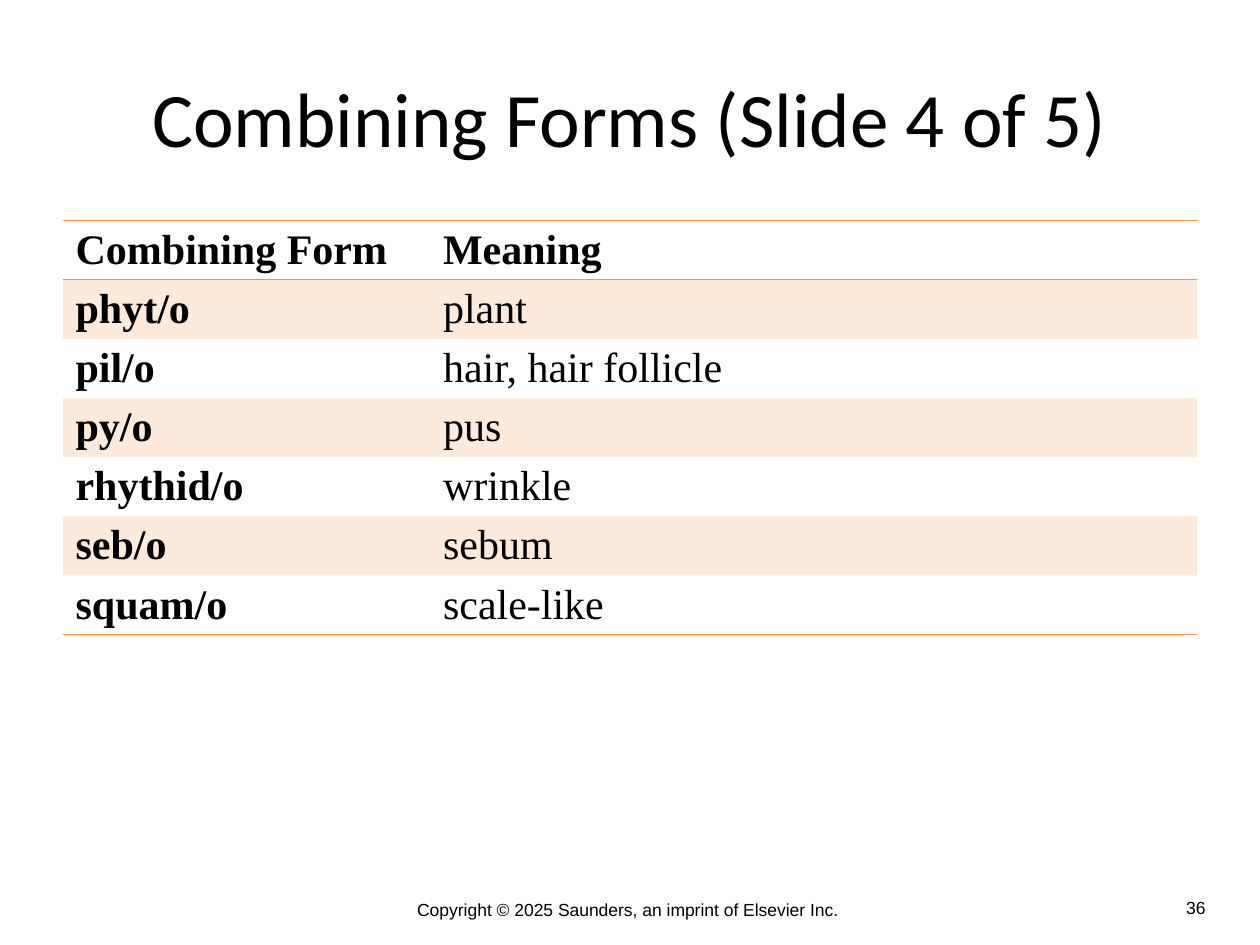
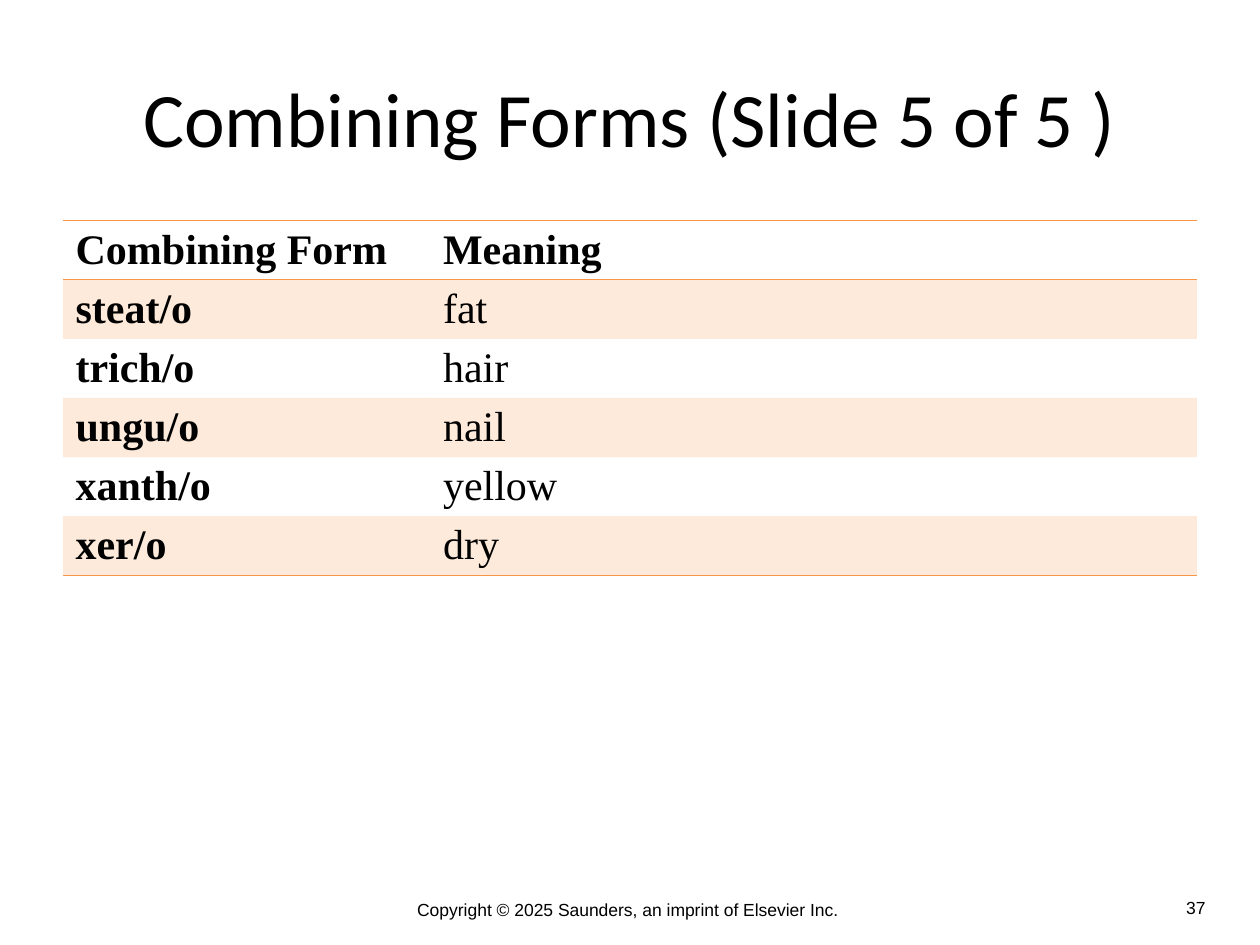
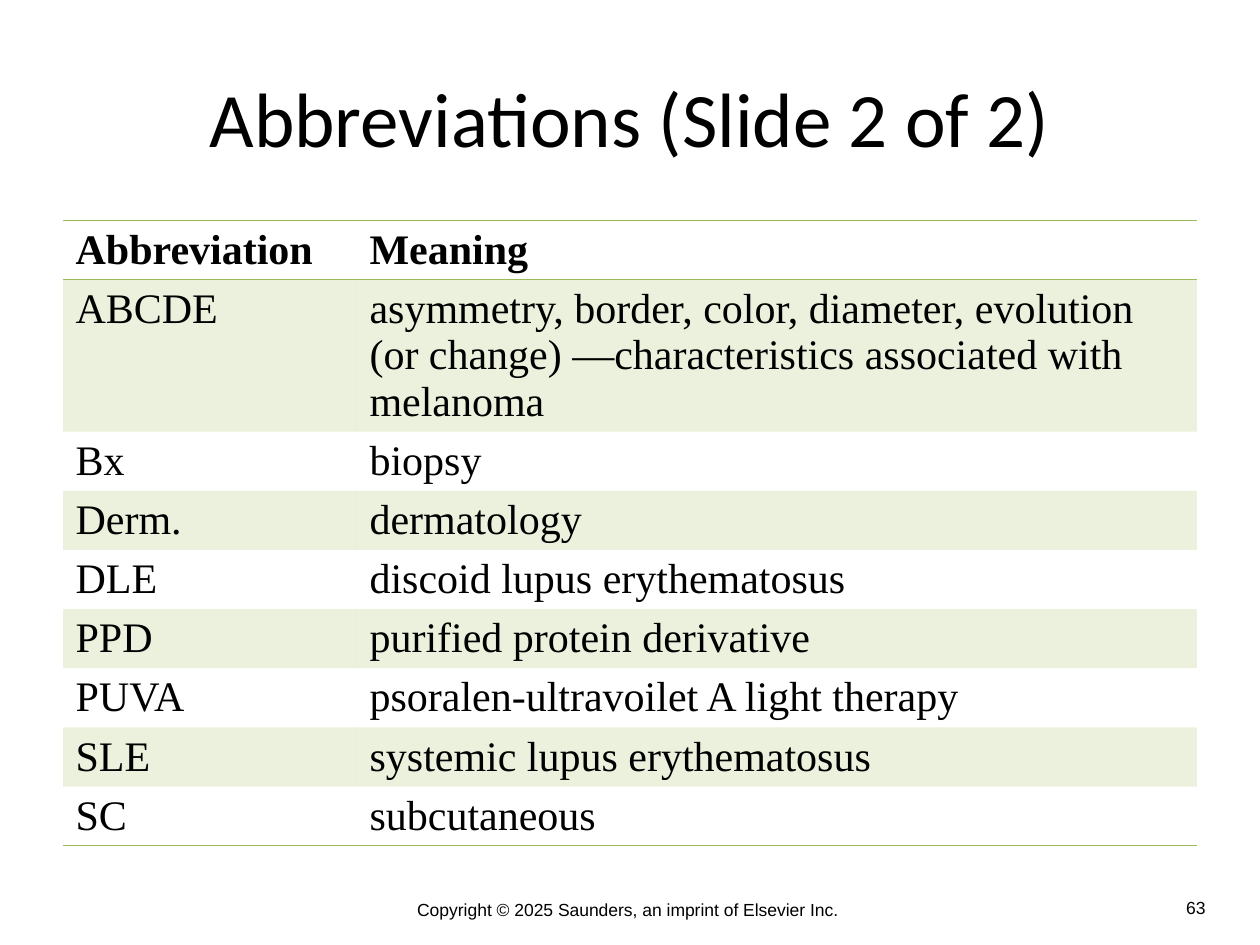
from pptx import Presentation
from pptx.dml.color import RGBColor
from pptx.enum.text import MSO_ANCHOR, PP_ALIGN
from pptx.oxml import parse_xml
from pptx.oxml.ns import nsdecls, qn
from pptx.util import Pt

# Shared look
BLACK = RGBColor(0x00, 0x00, 0x00)
ORANGE = RGBColor(0xF7, 0x96, 0x46)
GREEN = RGBColor(0x9B, 0xBB, 0x59)
NO_STYLE = "{2D5ABB26-0587-4C30-8999-92F81FD0307C}"
COPYRIGHT = "Copyright © 2025 Saunders, an imprint of Elsevier Inc. "
TABLE_WIDTH = 648
LINE_HEIGHT = 26.55
ROW_HEIGHT = LINE_HEIGHT + 7.2

# Each slide: title, page number, accent, first column width, bold terms, rows
SLIDES = [
    ("Combining Forms (Slide 4 of 5)", 36, ORANGE, 210, True, [
        ("Combining Form", "Meaning"),
        ("phyt/o", "plant"),
        ("pil/o", "hair, hair follicle"),
        ("py/o", "pus"),
        ("rhythid/o", "wrinkle"),
        ("seb/o", "sebum"),
        ("squam/o", "scale-like"),
    ]),
    ("Combining Forms (Slide 5 of 5 )", 37, ORANGE, 210, True, [
        ("Combining Form", "Meaning"),
        ("steat/o", "fat"),
        ("trich/o", "hair"),
        ("ungu/o", "nail"),
        ("xanth/o", "yellow"),
        ("xer/o", "dry"),
    ]),
    ("Abbreviations (Slide 2 of 2)", 63, GREEN, 168, False, [
        ("Abbreviation", "Meaning"),
        ("ABCDE", "asymmetry, border, color, diameter, evolution (or change) "
                  "—characteristics associated with melanoma"),
        ("Bx", "biopsy"),
        ("Derm.", "dermatology"),
        ("DLE", "discoid lupus erythematosus"),
        ("PPD", "purified protein derivative"),
        ("PUVA", "psoralen-ultravoilet A light therapy"),
        ("SLE", "systemic lupus erythematosus"),
        ("SC", "subcutaneous"),
    ]),
]


def write(tf, text, font="Arial", size=10, bold=False, align=PP_ALIGN.LEFT,
          anchor=None, spacing=None):
    tf.word_wrap = True
    tf.vertical_anchor = anchor
    p = tf.paragraphs[0]
    p.alignment = align
    p.line_spacing = spacing
    r = p.add_run()
    r.text = text
    r.font.name = font
    r.font.size = Pt(size)
    r.font.bold = bold
    r.font.color.rgb = BLACK


def add_border(cell, edge, color):
    cell._tc.get_or_add_tcPr().append(parse_xml(
        f'<a:{edge} {nsdecls("a")} w="12700"><a:solidFill>'
        f'<a:srgbClr val="{color}"/></a:solidFill></a:{edge}>'))


prs = Presentation()
prs.slide_width, prs.slide_height = Pt(720), Pt(540)

for title, number, accent, term_width, bold_terms, rows in SLIDES:
    s = prs.slides.add_slide(prs.slide_layouts[6])

    # Footer and page number
    sp = s.shapes.add_textbox(Pt(54), Pt(510), Pt(612), Pt(30))
    write(sp.text_frame, COPYRIGHT, align=PP_ALIGN.CENTER)
    sp = s.shapes.add_textbox(Pt(606), Pt(509), Pt(90), Pt(19.5))
    write(sp.text_frame, str(number), align=PP_ALIGN.RIGHT)

    # Title
    sp = s.shapes.add_textbox(Pt(36), Pt(21.6), Pt(648), Pt(90))
    write(sp.text_frame, title, font="Calibri", size=44,
          align=PP_ALIGN.CENTER, anchor=MSO_ANCHOR.MIDDLE)

    # Table with banded rows and rules around the header and below the end
    table = s.shapes.add_table(len(rows), 2, Pt(36), Pt(126), Pt(TABLE_WIDTH),
                               Pt(ROW_HEIGHT * len(rows))).table
    table._tbl.tblPr.find(qn("a:tableStyleId")).text = NO_STYLE
    table.columns[0].width = Pt(term_width)
    table.columns[1].width = Pt(TABLE_WIDTH - term_width)
    for i, row in enumerate(rows):
        for j, text in enumerate(row):
            cell = table.cell(i, j)
            write(cell.text_frame, text, font="Times New Roman", size=24,
                  bold=i == 0 or (bold_terms and j == 0),
                  spacing=Pt(LINE_HEIGHT))
            if i == 0:
                add_border(cell, "lnT", accent)
            if i in (0, len(rows) - 1):
                add_border(cell, "lnB", accent)
            if i % 2:
                cell.fill.solid()
                cell.fill.fore_color.rgb = accent
                clr = cell._tc.tcPr.find(qn("a:solidFill")).find(qn("a:srgbClr"))
                clr.append(parse_xml(f'<a:alpha {nsdecls("a")} val="20000"/>'))
            else:
                cell.fill.background()

prs.save("out.pptx")
